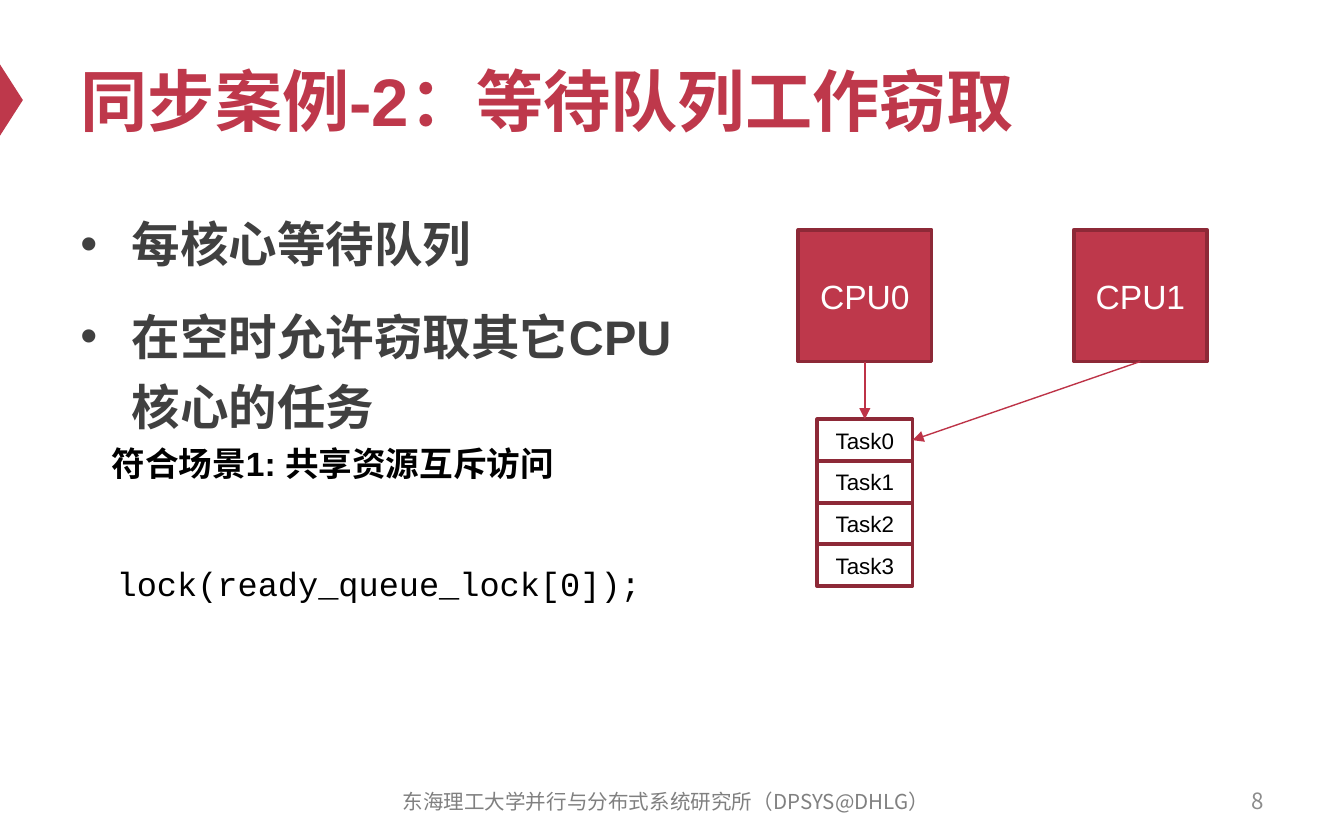
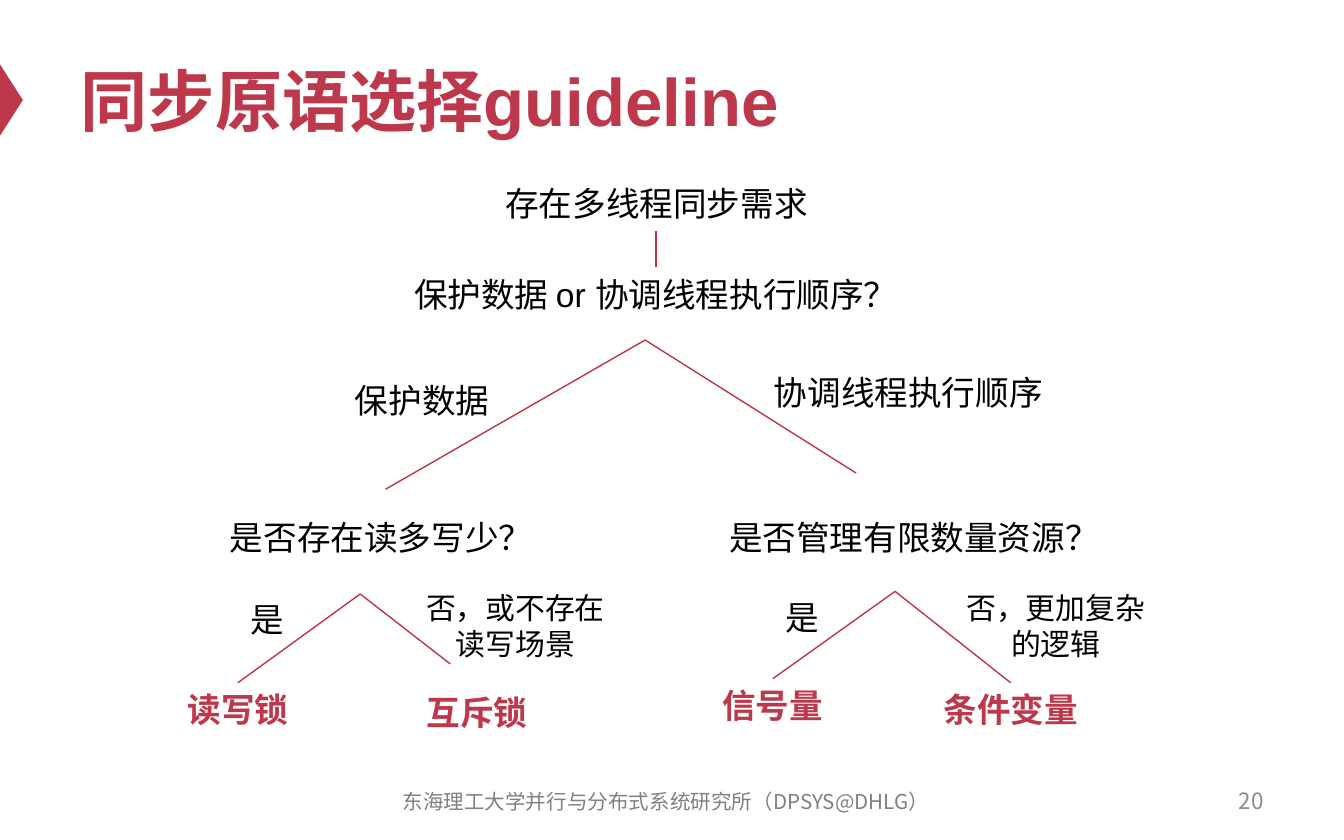
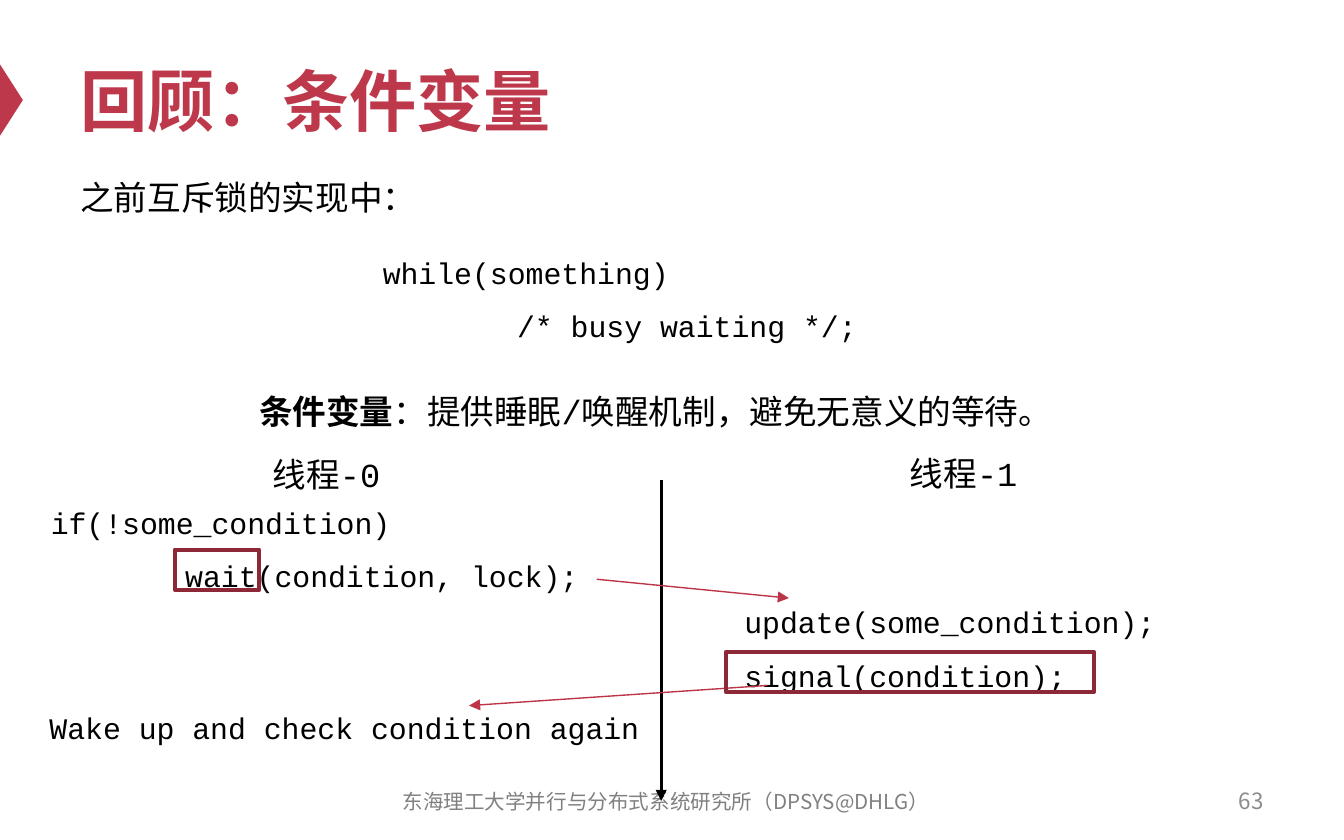
from dataclasses import dataclass

from lxml.etree import SubElement
from pptx import Presentation
from pptx.dml.color import RGBColor as RGB
from pptx.enum.shapes import MSO_CONNECTOR as Conn, MSO_SHAPE as Shape
from pptx.enum.text import MSO_ANCHOR as Anchor, MSO_AUTO_SIZE as Fit, PP_ALIGN as Align
from pptx.oxml.ns import qn
from pptx.util import Inches, Pt


@dataclass(frozen=True)
class Theme:
    red: str = "BE384B"
    edge: str = "8D2937"
    link: str = "BD3347"
    body: str = "404040"
    black: str = "000000"
    white: str = "FFFFFF"
    foot: str = "808080"
    number: str = "8C8C8C"
    sans: str = "Arial"
    mono: str = "Courier New"
    cjk: str = "Noto Sans CJK SC"
    title_size: float = 36
    bullet_size: float = 26
    text_size: float = 18
    code_size: float = 16
    small_size: float = 12
    foot_size: float = 11


T = Theme()
FOOTER = "东海理工大学并行与分布式系统研究所（DPSYS@DHLG）"
LEFT, CENTER, RIGHT = Align.LEFT, Align.CENTER, Align.RIGHT


class Deck:
    def __init__(self):
        self.prs = Presentation()
        self.prs.slide_width, self.prs.slide_height = Inches(10), Inches(6.25)
        self.s = None

    def font(self, r, size, color=T.black, bold=False, face=T.sans):
        r.font.size, r.font.bold, r.font.name = Pt(size), bold, face
        r.font.color.rgb = RGB.from_string(color)
        SubElement(r.font._element, qn("a:ea")).set("typeface", T.cjk)

    def slide(self, title, number):
        self.s = self.prs.slides.add_slide(self.prs.slide_layouts[5])
        self.rect(-0.18, 0.66, 0.53, 0.17, fill=T.red, line=None, kind=Shape.ISOSCELES_TRIANGLE).rotation = 90
        sp = self.s.shapes.title
        sp.left, sp.top, sp.width, sp.height = map(Inches, (0.5, 0.25, 9, 0.98))
        tf = sp.text_frame
        tf.text = title
        tf.vertical_anchor, tf.auto_size = Anchor.MIDDLE, Fit.NONE
        p = tf.paragraphs[0]
        p.alignment = LEFT
        self.font(p.runs[0], T.title_size, T.red, True)
        self.text(str(number), 7.17, 5.79, 2.33, 0.33, T.small_size, T.number,
                  face=T.cjk, align=RIGHT, anchor=Anchor.MIDDLE)
        self.text(FOOTER, 2.79, 5.8, 4.33, 0.33, T.foot_size, T.foot,
                  face=T.cjk, align=CENTER, anchor=Anchor.MIDDLE)

    def text(self, text, x, y, w, h=0.4, size=T.text_size, color=T.black, bold=False,
             face=T.sans, align=LEFT, anchor=Anchor.TOP, spacing=None, wrap=True):
        sp = self.s.shapes.add_textbox(*map(Inches, (x, y, w, h)))
        tf = sp.text_frame
        tf.text = text
        tf.word_wrap, tf.vertical_anchor = wrap, anchor
        for p in tf.paragraphs:
            p.alignment = align
            if spacing:
                p.line_spacing = spacing
            for r in p.runs:
                self.font(r, size, color, bold, face)
        return tf

    def label(self, text, x, y, w, **style):
        return self.text(text, x, y, w, align=CENTER, **style)

    def answer(self, text, x, y):
        self.label(text, x, y, 1.38, color=T.red, bold=True)

    def indent(self, p, left, first=0):
        pPr = p._p.get_or_add_pPr()
        pPr.set("marL", str(Inches(left)))
        pPr.set("indent", str(Inches(first)))
        return pPr

    def bullets(self, items, x, y, w, h):
        tf = self.text("\n".join(items), x, y, w, h, T.bullet_size, T.body, True, spacing=1.2)
        for p in tf.paragraphs:
            p.space_before = Pt(12)
            pPr = self.indent(p, 0.38, -0.38)
            SubElement(pPr, qn("a:buFont")).set("typeface", T.sans)
            SubElement(pPr, qn("a:buChar")).set("char", "•")

    def code(self, lines, x, y, w, h, inner=()):
        tf = self.text("\n".join(lines), x, y, w, h, T.code_size, face=T.mono, spacing=1.5)
        for i in inner:
            self.indent(tf.paragraphs[i], 1)

    def rect(self, x, y, w, h, text="", fill=None, line=T.edge, size=T.text_size,
             color=T.white, kind=Shape.RECTANGLE):
        sp = self.s.shapes.add_shape(kind, *map(Inches, (x, y, w, h)))
        sp.shadow.inherit = False
        if fill:
            sp.fill.solid()
            sp.fill.fore_color.rgb = RGB.from_string(fill)
        else:
            sp.fill.background()
        if line:
            sp.line.color.rgb, sp.line.width = RGB.from_string(line), Pt(2)
        else:
            sp.line.fill.background()
        if text:
            sp.text_frame.text = text
            p = sp.text_frame.paragraphs[0]
            p.alignment = CENTER
            self.font(p.runs[0], size, color)
        return sp

    def line(self, start, end, color=T.link, width=0.75, arrow=False):
        c = self.s.shapes.add_connector(Conn.STRAIGHT, *map(Inches, (*start, *end)))
        c.line.color.rgb, c.line.width = RGB.from_string(color), Pt(width)
        spPr = c._element.spPr
        if arrow:
            SubElement(spPr.find(qn("a:ln")), qn("a:tailEnd")).set("type", "triangle")
        SubElement(spPr, qn("a:effectLst"))
        return c

    def join(self, a, a_side, b, b_side):
        c = self.line((0, 0), (1, 1), arrow=True)
        c.begin_connect(a, a_side)
        c.end_connect(b, b_side)

    def branch(self, apex, *ends):
        for end in ends:
            self.line(apex, end)


def work_stealing(d):
    d.slide("同步案例-2：等待队列工作窃取", 8)
    d.bullets(["每核心等待队列", "在空时允许窃取其它CPU核心的任务"], 0.5, 1.46, 4.81, 4.12)
    cpu0, cpu1 = [d.rect(5.94 + 2.05 * i, 1.71, 0.99, 0.98, f"CPU{i}", T.red) for i in range(2)]
    tasks = [d.rect(6.08, 3.12 + 0.31 * i, 0.71, 0.31, f"Task{i}", size=T.small_size, color=T.black)
             for i in range(4)]
    d.join(cpu1, 2, tasks[0], 3)
    d.join(cpu0, 2, tasks[0], 0)
    d.label("符合场景1: 共享资源互斥访问", 0.5, 3.25, 3.95, bold=True)
    d.text("lock(ready_queue_lock[0]);", 0.77, 4.14, 4.27, face=T.mono, wrap=False)


def guideline(d):
    d.slide("同步原语选择guideline", 20)
    d.label("存在多线程同步需求", 3.35, 1.31, 3.07)
    d.line((4.88, 1.72), (4.88, 1.99))
    d.label("保护数据 or 协调线程执行顺序？", 2.95, 1.99, 3.86)
    d.branch((4.8, 2.53), (2.87, 3.64), (6.37, 3.52))
    d.label("保护数据", 2.45, 2.78, 1.38)
    d.text("协调线程执行顺序", 5.66, 2.72, 2.22, wrap=False)

    d.label("是否存在读多写少？", 1.54, 3.8, 2.34)
    d.branch((2.68, 4.42), (1.77, 5.08), (3.35, 4.94))
    d.label("是", 1.3, 4.41, 1.38)
    d.label("否，或不存在读写场景", 3.07, 4.34, 1.53, h=0.64, size=T.code_size)
    d.answer("读写锁", 1.08, 5.08)
    d.answer("互斥锁", 2.86, 5.1)

    d.label("是否管理有限数量资源？", 5.24, 3.8, 2.87)
    d.branch((6.66, 4.4), (5.75, 5.05), (7.52, 5.08))
    d.label("是", 5.28, 4.39, 1.38)
    d.label("否，更加复杂的逻辑", 7.09, 4.34, 1.53, h=0.64, size=T.code_size)
    d.answer("信号量", 5.06, 5.05)
    d.answer("条件变量", 6.83, 5.08)


def condition_variable(d):
    d.slide("回顾：条件变量", 63)
    d.text("之前互斥锁的实现中：", 0.5, 1.27, 3.86, face=T.mono)
    d.code(["while(something)", "/* busy waiting */;"], 2.75, 1.71, 4.5, 0.87, inner=[1])
    tf = d.text("条件变量", 1.83, 2.86, 6.34, bold=True, face=T.mono)
    r = tf.paragraphs[0].add_run()
    r.text = "：提供睡眠/唤醒机制，避免无意义的等待。"
    d.font(r, T.text_size, face=T.mono)

    d.label("线程-0", 1.5, 3.33, 1.86, face=T.mono)
    d.label("线程-1", 5.87, 3.32, 2.6, face=T.mono)
    d.code(["if(!some_condition)", "wait(condition, lock);"], 0.28, 3.57, 4.16, 0.87, inner=[1])
    d.code(["update(some_condition);", "signal(condition);"], 5.44, 4.31, 3.63, 0.87)
    d.code(["Wake up and check condition again"], 0.27, 5.1, 4.73, 0.47)
    d.line((4.92, 3.57), (4.92, 5.96), T.black, 1.5, arrow=True)
    d.line((4.44, 4.31), (5.87, 4.45), arrow=True)
    d.line((5.71, 5.1), (3.49, 5.25), arrow=True)
    d.rect(1.3, 4.09, 0.63, 0.3)
    d.rect(5.4, 4.85, 2.74, 0.3)


def main():
    d = Deck()
    for build in (work_stealing, guideline, condition_variable):
        build(d)
    d.prs.save("out.pptx")


if __name__ == "__main__":
    main()
